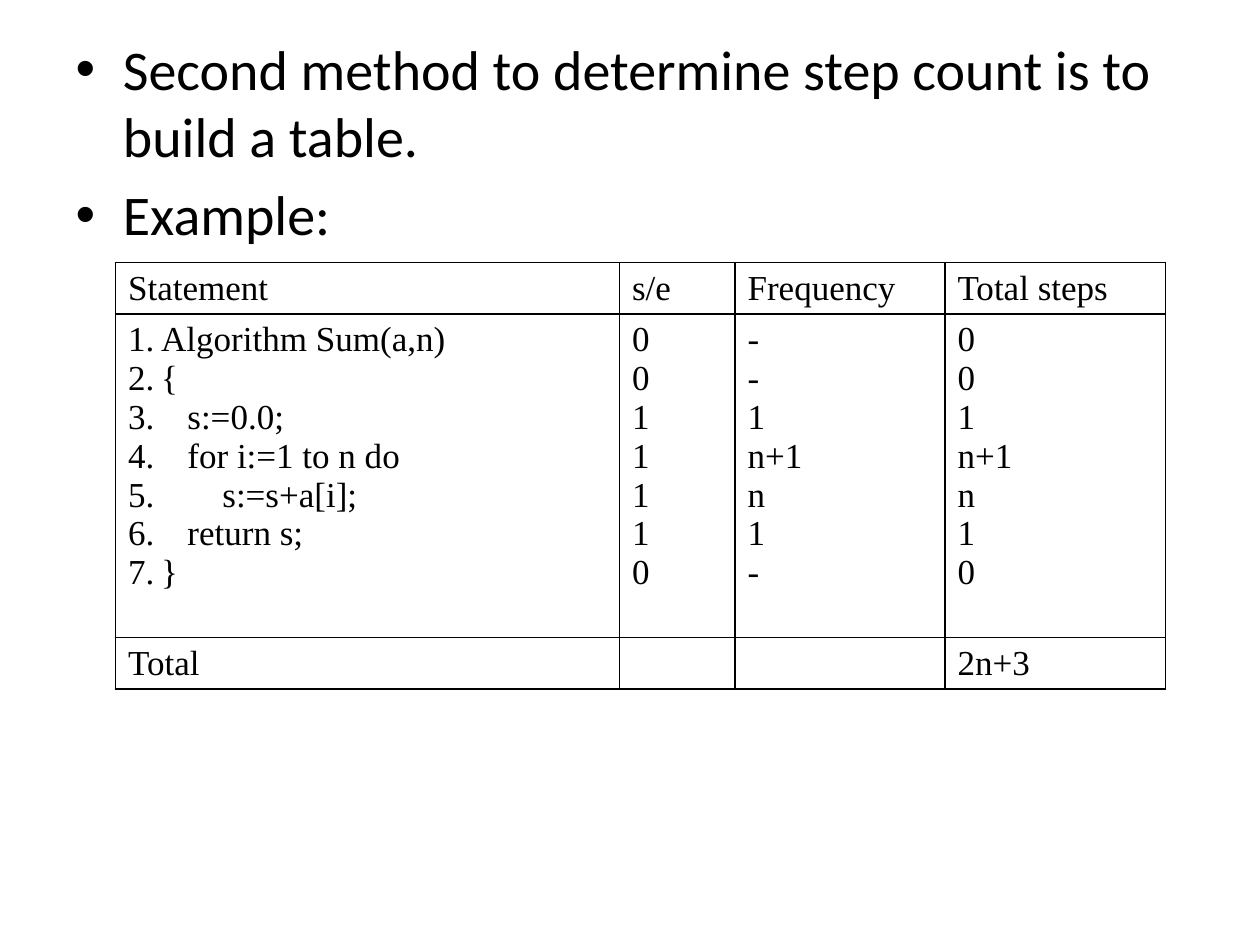
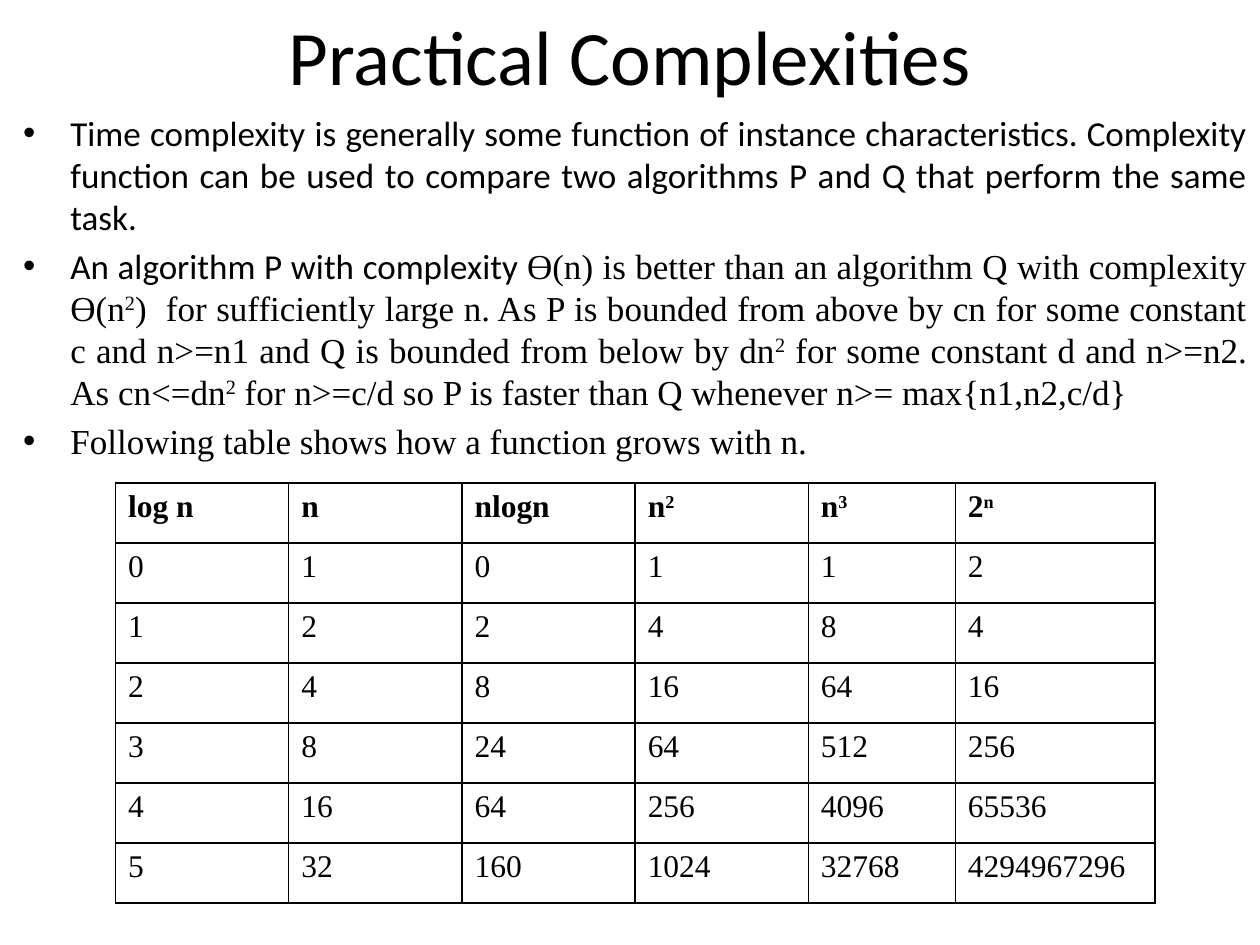
from lxml.etree import SubElement
from pptx import Presentation
from pptx.dml.color import RGBColor
from pptx.enum.text import MSO_ANCHOR, MSO_AUTO_SIZE, PP_ALIGN
from pptx.oxml import parse_xml
from pptx.oxml.ns import nsdecls, qn
from pptx.util import Pt

BLACK = RGBColor(0, 0, 0)
SANS = "Calibri"
SERIF = "Times New Roman"
TITLE_AND_CONTENT = 1

ALGORITHM_LINES = [  # (code, indent depth in points)
    ("Algorithm Sum(a,n)", 0),
    ("{", 0),
    ("s:=0.0;", 15),
    ("for i:=1 to n do", 15),
    ("s:=s+a[i];", 35),
    ("return s;", 15),
    ("}", 0),
]
STEPS_PER_EXECUTION = ["0", "0", "1", "1", "1", "1", "0"]
FREQUENCIES = ["-", "-", "1", "n+1", "n", "1", "-"]
TOTAL_STEPS = ["0", "0", "1", "n+1", "n", "1", "0"]

GROWTH_HEADINGS = ["log n", "n", "nlogn", "n^2^", "n^3^", "2^n^"]


def write(paragraph, text, size=20, font=SANS, bold=False):
    """Append text to a paragraph; parts between ^ marks are superscript."""
    for index, part in enumerate(text.split("^")):
        if not part:
            continue
        run = paragraph.add_run()
        run.text = part
        run.font.size = Pt(size)
        run.font.name = font
        run.font.bold = bold
        run.font.color.rgb = BLACK
        if index % 2:
            run.font._element.set("baseline", "30000")


def place(shape, left, top, width, height):
    shape.left, shape.top = Pt(left), Pt(top)
    shape.width, shape.height = Pt(width), Pt(height)


def add_title(slide, text, box):
    title = slide.shapes.title
    place(title, *box)
    frame = title.text_frame
    frame.auto_size = MSO_AUTO_SIZE.NONE
    frame.vertical_anchor = MSO_ANCHOR.MIDDLE
    frame.paragraphs[0].alignment = PP_ALIGN.CENTER
    write(frame.paragraphs[0], text, size=44)


def add_bullets(slide, bullets, box, size, alignment=PP_ALIGN.LEFT):
    """Fill the body placeholder; each bullet is a list of (text, font) parts."""
    body = slide.placeholders[1]
    place(body, *box)
    frame = body.text_frame
    frame.auto_size = MSO_AUTO_SIZE.NONE
    for index, parts in enumerate(bullets):
        paragraph = frame.add_paragraph() if index else frame.paragraphs[0]
        paragraph.alignment = alignment
        for text, font in parts:
            write(paragraph, text, size=size, font=font)


def outline_cell(cell):
    properties = cell._tc.get_or_add_tcPr()
    for position, side in enumerate(("lnL", "lnR", "lnT", "lnB")):
        properties.insert(position, parse_xml(
            f'<a:{side} {nsdecls("a")} w="{Pt(1)}"><a:solidFill>'
            f'<a:srgbClr val="{BLACK}"/></a:solidFill></a:{side}>'))


def number_paragraph(paragraph, depth):
    """Number a code line at the cell edge and indent its code by depth."""
    margin = Pt(18.9 + depth)
    properties = paragraph._p.get_or_add_pPr()
    properties.set("marL", str(margin))
    properties.set("indent", str(-margin))
    SubElement(properties, qn("a:buFont"), typeface="+mj-lt")
    SubElement(properties, qn("a:buAutoNum"), type="arabicPeriod")


def add_grid(slide, left, top, column_widths, row_heights):
    """Add an unfilled table with thin black borders."""
    frame = slide.shapes.add_table(
        len(row_heights), len(column_widths), Pt(left), Pt(top),
        Pt(sum(column_widths)), Pt(sum(row_heights)))
    table = frame.table
    table.first_row = table.horz_banding = False
    for column, width in zip(table.columns, column_widths):
        column.width = Pt(width)
    for row, height in zip(table.rows, row_heights):
        row.height = Pt(height)
    for cell in table.iter_cells():
        cell.fill.background()
        outline_cell(cell)
    return table


def fill_cell(cell, lines, **text_format):
    frame = cell.text_frame
    for index, line in enumerate(lines):
        paragraph = frame.add_paragraph() if index else frame.paragraphs[0]
        write(paragraph, line, font=SERIF, **text_format)


def add_step_table(slide, left, top):
    table = add_grid(slide, left, top, [288, 66, 120, 126], [29.5, 184.8, 29.5])
    for column, heading in enumerate(["Statement", "s/e", "Frequency", "Total steps"]):
        fill_cell(table.cell(0, column), [heading])
    statements = table.cell(1, 0)
    fill_cell(statements, [code for code, _ in ALGORITHM_LINES])
    for paragraph, (_, depth) in zip(statements.text_frame.paragraphs, ALGORITHM_LINES):
        number_paragraph(paragraph, depth)
    for column, values in enumerate([STEPS_PER_EXECUTION, FREQUENCIES, TOTAL_STEPS], 1):
        fill_cell(table.cell(1, column), values)
    fill_cell(table.cell(2, 0), ["Total"])
    fill_cell(table.cell(2, 3), ["2n+3"])


def add_growth_table(slide, left, top):
    rows = [GROWTH_HEADINGS]
    for log in range(6):
        n = 2 ** log
        rows.append([str(value) for value in (log, n, n * log, n ** 2, n ** 3, 2 ** n)])
    table = add_grid(slide, left, top, [99] * 4 + [84, 114], [34.29] * len(rows))
    for row, values in enumerate(rows):
        for column, value in enumerate(values):
            fill_cell(table.cell(row, column), [value], size=18, bold=row == 0)


def build_step_count_slide(presentation):
    slide = presentation.slides.add_slide(presentation.slide_layouts[TITLE_AND_CONTENT])
    title = slide.shapes.title._element
    title.getparent().remove(title)
    bullets = [
        [("Second method to determine step count is to build a table.", SANS)],
        [("Example:", SANS)],
    ]
    add_bullets(slide, bullets, (36, 16, 648, 506), size=32)
    add_step_table(slide, 66, 150)


def build_complexities_slide(presentation):
    slide = presentation.slides.add_slide(presentation.slide_layouts[TITLE_AND_CONTENT])
    add_title(slide, "Practical Complexities", (36, 0, 648, 63))
    bullets = [
        [("Time complexity is generally some function of instance characteristics. "
          "Complexity function can be used to compare two algorithms P and Q that "
          "perform the same task.", SANS)],
        [("An algorithm P with complexity ", SANS),
         ("Ө(n) is better than an algorithm Q with complexity Ө(n^2^)  for "
          "sufficiently large n. As P is bounded from above by cn for some constant c "
          "and n>=n1 and Q is bounded from below by dn^2^ for some constant d and "
          "n>=n2. As cn<=dn^2^ for n>=c/d so P is faster than Q whenever "
          "n>= max{n1,n2,c/d}", SERIF)],
        [("Following table shows how a function grows with n.", SERIF)],
    ]
    add_bullets(slide, bullets, (6, 60, 714, 468), size=20, alignment=PP_ALIGN.JUSTIFY)
    add_growth_table(slide, 66, 276)


def main():
    presentation = Presentation()
    presentation.slide_width, presentation.slide_height = Pt(720), Pt(540)
    build_step_count_slide(presentation)
    build_complexities_slide(presentation)
    presentation.save("out.pptx")


if __name__ == "__main__":
    main()
